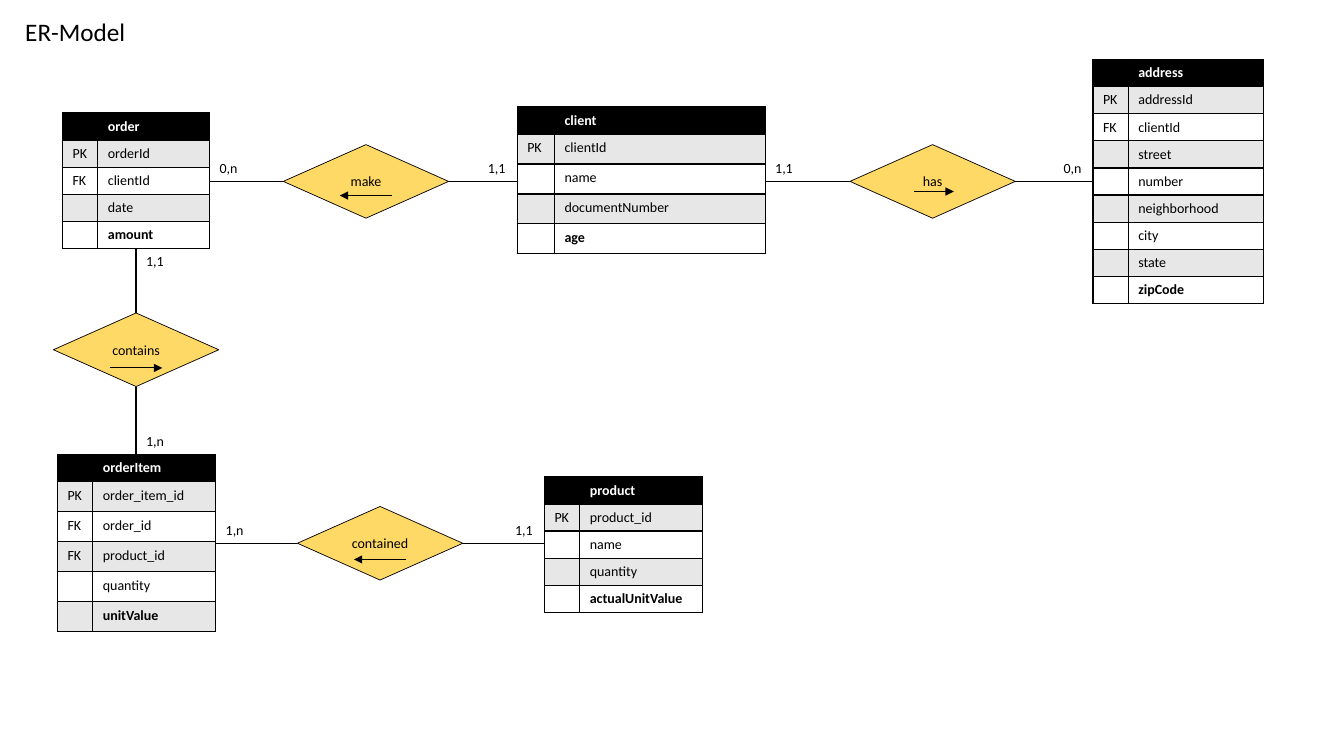
import lxml.etree
import pptx
import pptx.dml.color
import pptx.enum.shapes
import pptx.enum.text
import pptx.oxml
import pptx.oxml.ns
import pptx.util

Inches = pptx.util.Inches
COLORS = {"ink": "000000", "paper": "FFFFFF", "band": "E7E7E7", "diamond": "FFD966"}
FONT = "Calibri"
HEADER_HEIGHT = 0.27
DIAMOND_WIDTH, DIAMOND_HEIGHT = 1.64, 0.73
LABEL_WIDTH, LABEL_HEIGHT = 0.38, 0.27

ENTITIES = {
    "product": ((5.4, 4.73, 1.57, 1.34), 0.35, [
        ("PK", "product_id"), ("", "name"), ("", "quantity"), ("", "actualUnitValue")]),
    "order": ((0.62, 1.12, 1.46, 1.34), 0.35, [
        ("PK", "orderId"), ("FK", "clientId"), ("", "date"), ("", "amount")]),
    "client": ((5.13, 1.06, 2.46, 1.46), 0.37, [
        ("PK", "clientId"), ("", "name"), ("", "documentNumber"), ("", "age")]),
    "address": ((10.84, 0.59, 1.69, 2.41), 0.35, [
        ("PK", "addressId"), ("FK", "clientId"), ("", "street"), ("", "number"),
        ("", "neighborhood"), ("", "city"), ("", "state"), ("", "zipCode")]),
    "orderItem": ((0.57, 4.51, 1.57, 1.76), 0.35, [
        ("PK", "order_item_id"), ("FK", "order_id"), ("FK", "product_id"),
        ("", "quantity"), ("", "unitValue")]),
}

RELATIONS = [
    {"name": "make", "center": (3.63, 1.8), "ends": ("order", "client"),
     "counts": ("0,n", "1,1"), "reading": (0.26, -0.26, 0.14)},
    {"name": "has", "center": (9.25, 1.8), "ends": ("client", "address"),
     "counts": ("1,1", "0,n"), "reading": (-0.18, 0.21, 0.1)},
    {"name": "contains", "center": (1.35, 3.47), "ends": ("order", "orderItem"),
     "counts": ("1,1", "1,n"), "reading": (-0.26, 0.26, 0.18), "vertical": True},
    {"name": "contained", "center": (3.77, 5.39), "ends": ("orderItem", "product"),
     "counts": ("1,n", "1,1"), "reading": (0.26, -0.26, 0.16)},
]


def rgb(key):
    """Return the named palette colour."""
    return pptx.dml.color.RGBColor.from_string(COLORS[key])


def write(frame, text, size=10, color="ink", bold=False):
    """Put one formatted paragraph in a text frame and return it."""
    paragraph = frame.paragraphs[0]
    paragraph.text = text
    font = paragraph.font
    font.name, font.size, font.bold = FONT, pptx.util.Pt(size), bold
    font.color.rgb = rgb(color)
    return paragraph


def border(cell):
    """Draw a thin line on all four sides of a cell."""
    namespace = pptx.oxml.ns.nsdecls("a")
    properties = cell._tc.get_or_add_tcPr()
    for index, side in enumerate(("lnL", "lnR", "lnT", "lnB")):
        properties.insert(index, pptx.oxml.parse_xml(
            f'<a:{side} {namespace} w="12700"><a:solidFill>'
            f'<a:srgbClr val="{COLORS["ink"]}"/></a:solidFill></a:{side}>'))


def add_entity(slide, name, box, key_width, fields):
    """Build the table of one entity inside its box."""
    width, height = box[2:]
    rows = [("", name)] + fields
    table = slide.shapes.add_table(len(rows), 2, *map(Inches, box)).table
    table.first_row = table.horz_banding = False
    table.columns[0].width = Inches(key_width)
    table.columns[1].width = Inches(width - key_width)
    field_height = (height - HEADER_HEIGHT) / len(fields)
    for row, texts in enumerate(rows):
        header = row == 0
        table.rows[row].height = Inches(HEADER_HEIGHT if header else field_height)
        fill = "ink" if header else ("paper", "band")[row % 2]
        for column, text in enumerate(texts):
            cell = table.cell(row, column)
            cell.fill.solid()
            cell.fill.fore_color.rgb = rgb(fill)
            border(cell)
            bold = header or (column == 1 and row == len(fields))
            write(cell.text_frame, text, color="paper" if header else "ink", bold=bold)


def add_line(slide, start, end, width=1, arrow=False):
    """Draw a straight line, with an arrowhead at its end if asked."""
    line = slide.shapes.add_connector(
        pptx.enum.shapes.MSO_CONNECTOR.STRAIGHT, *map(Inches, start + end))
    line.line.color.rgb = rgb("ink")
    line.line.width = pptx.util.Pt(width)
    properties = line._element.spPr
    qn = pptx.oxml.ns.qn
    if arrow:
        lxml.etree.SubElement(properties.find(qn("a:ln")), qn("a:tailEnd"), type="triangle")
    lxml.etree.SubElement(properties, qn("a:effectLst"))


def add_count(slide, left, top, text):
    """Place one cardinality label."""
    count = slide.shapes.add_textbox(*map(Inches, (left, top, LABEL_WIDTH, LABEL_HEIGHT)))
    count.text_frame.word_wrap = False
    write(count.text_frame, text)


def add_relation(slide, name, center, ends, counts, reading, vertical=False):
    """Build a diamond with its reading arrow, links and cardinalities."""
    x, y = center
    half_width, half_height = DIAMOND_WIDTH / 2, DIAMOND_HEIGHT / 2
    first, second = (ENTITIES[end][0] for end in ends)
    if vertical:
        first_edge, second_edge = first[1] + first[3], second[1]
        links = [((x, first_edge), (x, y - half_height)),
                 ((x, y + half_height), (x, second_edge))]
        places = [(x, first_edge), (x, second_edge - LABEL_HEIGHT)]
    else:
        first_edge, second_edge = first[0] + first[2], second[0]
        links = [((first_edge, y), (x - half_width, y)),
                 ((x + half_width, y), (second_edge, y))]
        places = [(first_edge, y - LABEL_HEIGHT),
                  (second_edge - LABEL_WIDTH - 0.01, y - LABEL_HEIGHT)]
    diamond = slide.shapes.add_shape(
        pptx.enum.shapes.MSO_SHAPE.DIAMOND, Inches(x - half_width), Inches(y - half_height),
        Inches(DIAMOND_WIDTH), Inches(DIAMOND_HEIGHT))
    diamond.shadow.inherit = False
    diamond.fill.solid()
    diamond.fill.fore_color.rgb = rgb("diamond")
    diamond.line.color.rgb = rgb("ink")
    diamond.line.width = pptx.util.Pt(0.5)
    diamond.text_frame.vertical_anchor = pptx.enum.text.MSO_ANCHOR.MIDDLE
    write(diamond.text_frame, name).alignment = pptx.enum.text.PP_ALIGN.CENTER
    for link in links:
        add_line(slide, *link)
    for place, count in zip(places, counts):
        add_count(slide, *place, count)
    start, end, drop = reading
    add_line(slide, (x + start, y + drop), (x + end, y + drop), 0.75, arrow=True)


def add_title(slide, text, left, top, width, height):
    """Move and format the title placeholder."""
    title = slide.shapes.title
    title.left, title.top, title.width, title.height = map(Inches, (left, top, width, height))
    frame = title.text_frame
    frame.word_wrap = False
    frame.auto_size = pptx.enum.text.MSO_AUTO_SIZE.NONE
    frame.vertical_anchor = pptx.enum.text.MSO_ANCHOR.TOP
    write(frame, text, size=18).alignment = pptx.enum.text.PP_ALIGN.LEFT


def main():
    """Build and save the entity-relationship slide."""
    deck = pptx.Presentation()
    deck.slide_width, deck.slide_height = Inches(13.33), Inches(7.5)
    slide = deck.slides.add_slide(deck.slide_layouts[5])
    add_title(slide, "ER-Model", 0.15, 0.11, 1.2, 0.4)
    for name, entity in ENTITIES.items():
        add_entity(slide, name, *entity)
    for relation in RELATIONS:
        add_relation(slide, **relation)
    deck.save("out.pptx")


main()
